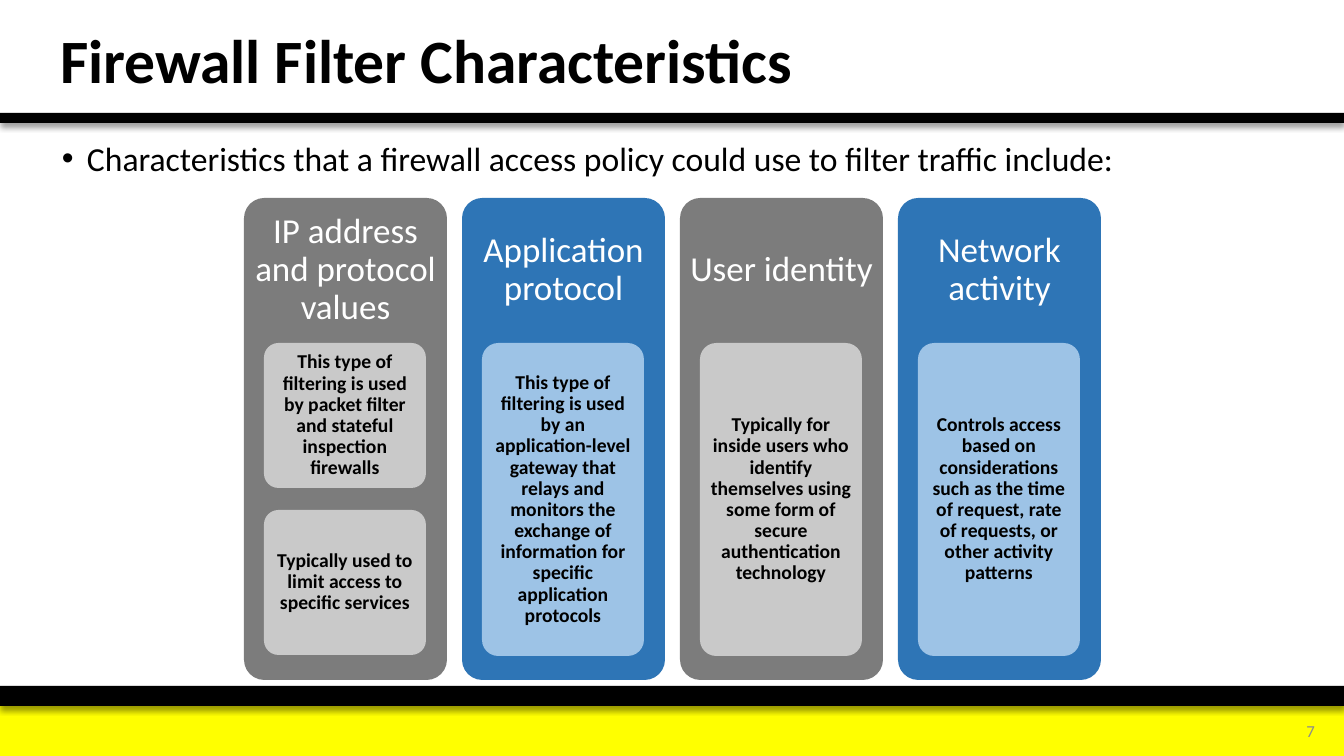
from dataclasses import dataclass

from lxml import etree
from pptx import Presentation
from pptx import util as u
from pptx.dml.color import RGBColor
from pptx.enum import shapes, text
from pptx.oxml import ns

PX = 914400 / 100.8
WIDTH, HEIGHT = 1344, 756


@dataclass(frozen=True)
class Theme:
    font: str = "Calibri"
    black: str = "000000"
    white: str = "FFFFFF"
    yellow: str = "FFFF00"
    muted: str = "8C8C8C"
    gray: tuple = ("7C7C7C", "C9C9C9")
    blue: tuple = ("2E75B6", "9DC3E6")
    title: int = 44
    body: int = 24
    heading: int = 25
    card: int = 14
    number: int = 12


def px(count):
    return u.Emu(round(count * PX))


class SlideBuilder:
    def __init__(self, page, theme):
        self.page = page
        self.theme = theme

    def block(self, area, color, kind=shapes.MSO_SHAPE.RECTANGLE):
        shape = self.page.shapes.add_shape(kind, *map(px, area))
        shape.fill.solid()
        shape.fill.fore_color.rgb = RGBColor.from_string(color)
        shape.line.fill.background()
        shape.shadow.inherit = False
        return shape

    def panel(self, area, color):
        shape = self.block(area, color, shapes.MSO_SHAPE.ROUNDED_RECTANGLE)
        shape.adjustments[0] = 0.1
        return shape

    def rule(self, area):
        """Black bar that casts a soft shadow downwards."""
        shape = self.block(area, self.theme.black)
        effects = shape._element.spPr.find(ns.qn("a:effectLst"))
        shadow = etree.SubElement(
            effects, ns.qn("a:outerShdw"), blurRad=str(u.Pt(4)),
            dist=str(u.Pt(3)), dir="5400000", algn="t", rotWithShape="0")
        tint = etree.SubElement(shadow, ns.qn("a:srgbClr"), val=self.theme.black)
        etree.SubElement(tint, ns.qn("a:alpha"), val="40000")

    def set_text(self, shape, words, size, color, bold=False,
                 align=text.PP_ALIGN.LEFT, anchor=text.MSO_ANCHOR.MIDDLE,
                 inset=(10, 5)):
        frame = shape.text_frame
        frame.word_wrap = True
        frame.vertical_anchor = anchor
        frame.margin_left = frame.margin_right = px(inset[0])
        frame.margin_top = frame.margin_bottom = px(inset[1])
        para = frame.paragraphs[0]
        para.alignment = align
        para.line_spacing = 0.9
        span = para.add_run()
        span.text = words
        span.font.name = self.theme.font
        span.font.size = u.Pt(size)
        span.font.bold = bold
        span.font.color.rgb = RGBColor.from_string(color)
        return para

    def label(self, area, words, size, color, **style):
        box = self.page.shapes.add_textbox(*map(px, area))
        return self.set_text(box, words, size, color, **style)

    def bullet(self, area, words):
        para = self.label(area, words, self.theme.body, self.theme.black,
                          anchor=text.MSO_ANCHOR.TOP)
        para.space_before = u.Pt(10)
        props = para._p.get_or_add_pPr()
        props.set("marL", str(px(25)))
        props.set("indent", str(-px(25)))
        etree.SubElement(props, ns.qn("a:buFont"), typeface="Arial")
        etree.SubElement(props, ns.qn("a:buChar"), char="•")

    def column(self, left, colors, heading, notes):
        """Tall panel with a heading and equal cards sharing the space below."""
        theme = self.theme
        top, width, gap, card_area = 198, 203, 22, 313
        panel_color, card_color = colors
        self.panel((left, top, width, 482), panel_color)
        self.label((left, top, width, 144), heading, theme.heading, theme.white,
                   align=text.PP_ALIGN.CENTER, inset=(10, 10))
        height = (card_area - gap * (len(notes) - 1)) // len(notes)
        for row, note in enumerate(notes):
            card = self.panel(
                (left + 20, 343 + row * (height + gap), 162, height), card_color)
            self.set_text(card, note, theme.card, theme.black, bold=True,
                          align=text.PP_ALIGN.CENTER, inset=(4, 3))


COLUMNS = [
    ("IP address and protocol values",
     ["This type of filtering is used by packet filter and stateful "
      "inspection firewalls",
      "Typically used to limit access to specific services"]),
    ("Application protocol",
     ["This type of filtering is used by an application-level gateway that "
      "relays and monitors the exchange of information for specific "
      "application protocols"]),
    ("User identity",
     ["Typically for inside users who identify themselves using some form of "
      "secure authentication technology"]),
    ("Network activity",
     ["Controls access based on considerations such as the time of request, "
      "rate of requests, or other activity patterns"]),
]


def main():
    deck = Presentation()
    deck.slide_width, deck.slide_height = px(WIDTH), px(HEIGHT)
    theme = Theme()
    slide = SlideBuilder(deck.slides.add_slide(deck.slide_layouts[6]), theme)

    slide.block((0, 706, WIDTH, 50), theme.yellow)
    slide.rule((0, 686, WIDTH, 20))
    slide.rule((0, 113, WIDTH, 10))
    slide.label((1248, 712, 77, 40), "7", theme.number, theme.muted,
                align=text.PP_ALIGN.RIGHT)
    slide.label((50, 7, 907, 113), "Firewall Filter Characteristics",
                theme.title, theme.black, bold=True)
    slide.bullet((52, 137, 1239, 52),
                 "Characteristics that a firewall access policy could use to "
                 "filter traffic include:")
    for index, (heading, notes) in enumerate(COLUMNS):
        colors = theme.blue if index % 2 else theme.gray
        slide.column(244 + index * 218, colors, heading, notes)

    deck.save("out.pptx")


if __name__ == "__main__":
    main()
